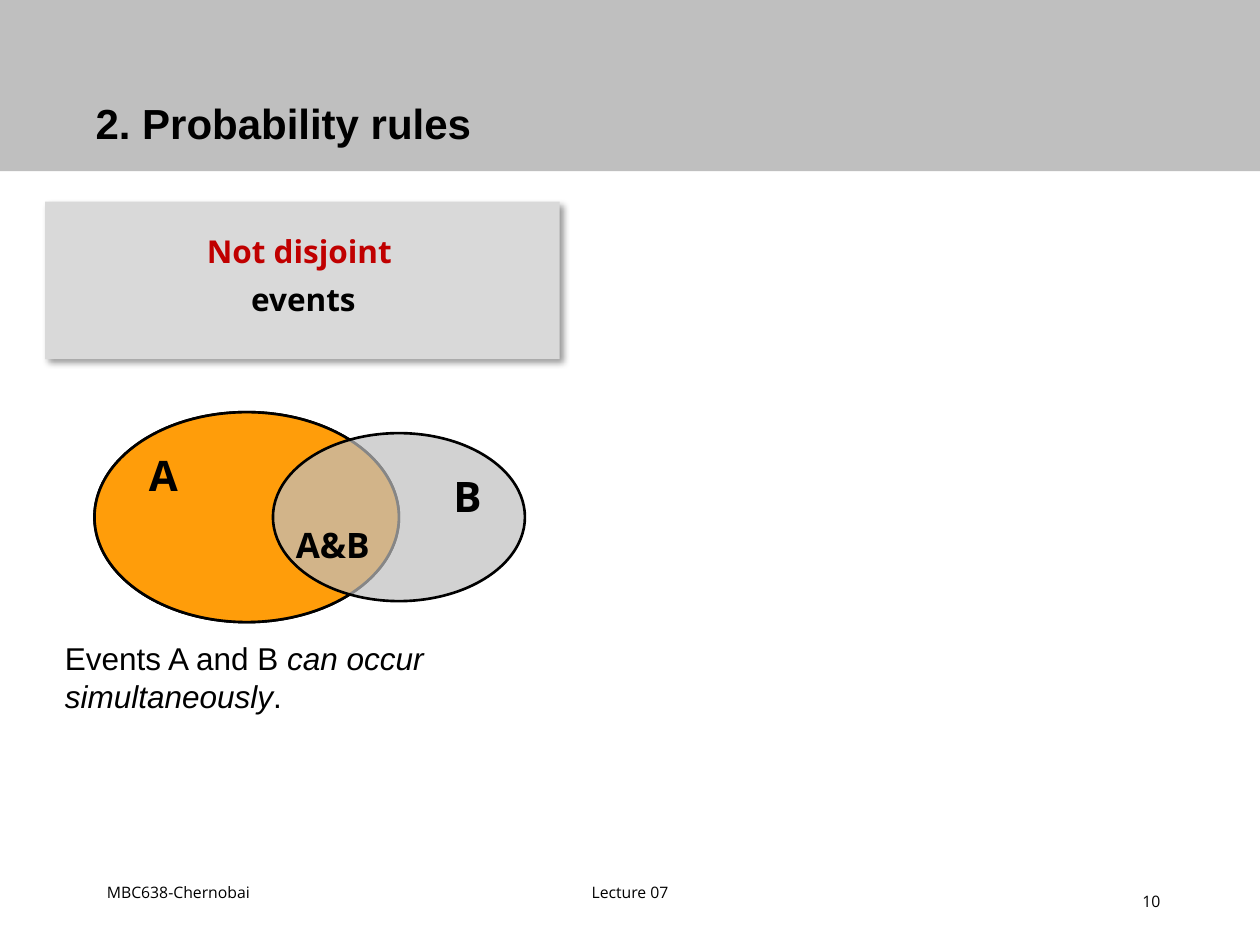
from pptx import Presentation
from pptx.dml.color import RGBColor
from pptx.enum.shapes import MSO_SHAPE as SHAPE
from pptx.enum.text import MSO_ANCHOR as ANCHOR, PP_ALIGN as ALIGN
from pptx.oxml import parse_xml
from pptx.oxml.ns import nsdecls, qn
from pptx.util import Inches, Pt
from lxml.etree import SubElement

BLACK = RGBColor(0x00, 0x00, 0x00)
RED = RGBColor(0xC0, 0x00, 0x00)
ORANGE = RGBColor(0xFF, 0x99, 0x00)
GREY = RGBColor(0xBF, 0xBF, 0xBF)
LIGHT = RGBColor(0xD9, 0xD9, 0xD9)
HEAD, BODY = "Arial", "Open Sans"
COLS, ROWS = 120, 90


class Deck:
    """Places elements on a grid of COLS by ROWS over the slide."""

    def __init__(self):
        self.prs = Presentation()
        self.prs.slide_width, self.prs.slide_height = Inches(10), Inches(7.5)
        self.slide = self.prs.slides.add_slide(self.prs.slide_layouts[5])

    def box(self, col, row, cols, rows):
        w, h = self.prs.slide_width / COLS, self.prs.slide_height / ROWS
        return [round(v) for v in (col * w, row * h, cols * w, rows * h)]

    def fill_paragraph(self, p, runs, size, font=BODY, color=BLACK, bold=False,
                       align=ALIGN.LEFT):
        """Fill a paragraph with (text, italic) runs."""
        p.alignment = align
        p.font.size, p.font.name, p.font.bold = Pt(size), font, bold
        p.font.color.rgb = color
        for text, italic in runs:
            r = p.add_run()
            r.text = text
            if italic:
                r.font.italic = True

    def shape(self, kind, grid, color, alpha=None, outline=None):
        s = self.slide.shapes.add_shape(kind, *self.box(*grid))
        s.shadow.inherit = False
        s.fill.solid()
        s.fill.fore_color.rgb = color
        if alpha:
            clr = s._element.spPr.find(qn("a:solidFill"))[0]
            SubElement(clr, qn("a:alpha")).set("val", str(alpha * 1000))
        if outline:
            s.line.color.rgb, s.line.width = BLACK, Pt(outline)
        else:
            s.line.fill.background()
        return s

    def drop_shadow(self, s):
        s._element.spPr.find(qn("a:effectLst")).append(parse_xml(
            f'<a:outerShdw {nsdecls("a")} blurRad="{Pt(4)}" dist="{Pt(3)}" dir="2700000" '
            'algn="tl" rotWithShape="0"><a:srgbClr val="000000"><a:alpha val="40000"/>'
            '</a:srgbClr></a:outerShdw>'))

    def text(self, grid, runs, size, anchor=ANCHOR.TOP, **style):
        tf = self.slide.shapes.add_textbox(*self.box(*grid)).text_frame
        tf.word_wrap, tf.vertical_anchor = True, anchor
        self.fill_paragraph(tf.paragraphs[0], runs, size, **style)
        return tf

    def title(self, grid, text):
        sp = self.slide.shapes.title
        sp.left, sp.top, sp.width, sp.height = self.box(*grid)
        tf = sp.text_frame
        tf.word_wrap, tf.vertical_anchor = True, ANCHOR.MIDDLE
        p = tf.paragraphs[0]
        p.line_spacing = 0.9
        self.fill_paragraph(p, [(text, False)], 24, HEAD, bold=True)
        # Bring the title in front of the band
        self.slide.shapes._spTree.append(sp._element)


def main():
    deck = Deck()

    # Footer
    for grid, text, align in (
        ((9, 82, 25, 6), "MBC638-Chernobai", ALIGN.LEFT),
        ((41, 82, 38, 6), "Lecture 07", ALIGN.CENTER),
        ((84.7, 83.4, 27, 4.8), "10", ALIGN.RIGHT),
    ):
        deck.text(grid, [(text, False)], 9, ANCHOR.MIDDLE, align=align)

    # Heading panel
    deck.drop_shadow(deck.shape(SHAPE.RECTANGLE, (4.3, 19.2, 49, 15), LIGHT))
    tf = deck.text((12.4, 21.5, 33, 10.3), [("Not disjoint ", False)], 18,
                   color=RED, bold=True, align=ALIGN.CENTER)
    p = tf.add_paragraph()
    p.space_before = Pt(6)
    deck.fill_paragraph(p, [("events", False)], 18, bold=True, align=ALIGN.CENTER)

    # Venn diagram: A is laid twice to deepen its colour
    event_a, event_b = (9, 39.25, 29, 20), (26, 41.25, 24, 16)
    for grid, color, alpha in ((event_a, ORANGE, 80), (event_a, ORANGE, 80),
                               (event_b, GREY, 70)):
        deck.shape(SHAPE.OVAL, grid, color, alpha, outline=1.5)
    for grid, label, size in (((13, 42.25, 6, 6), "A", 24),
                              ((42, 44.25, 6, 6), "B", 24),
                              ((27, 49.3, 11, 5.2), "A&B", 20)):
        deck.text(grid, [(label, False)], size, bold=True)

    # Explanation
    deck.text((5, 60.25, 47, 8.4),
              [("Events A and B ", False), ("can occur simultaneously", True), (".", False)],
              18, font=HEAD)

    # Title band
    deck.shape(SHAPE.RECTANGLE, (0, 0, COLS, 16.3), GREY)
    deck.title((7.9, 3.25, 103.4, 17.4), "2. Probability rules")

    deck.prs.save("out.pptx")


if __name__ == "__main__":
    main()
